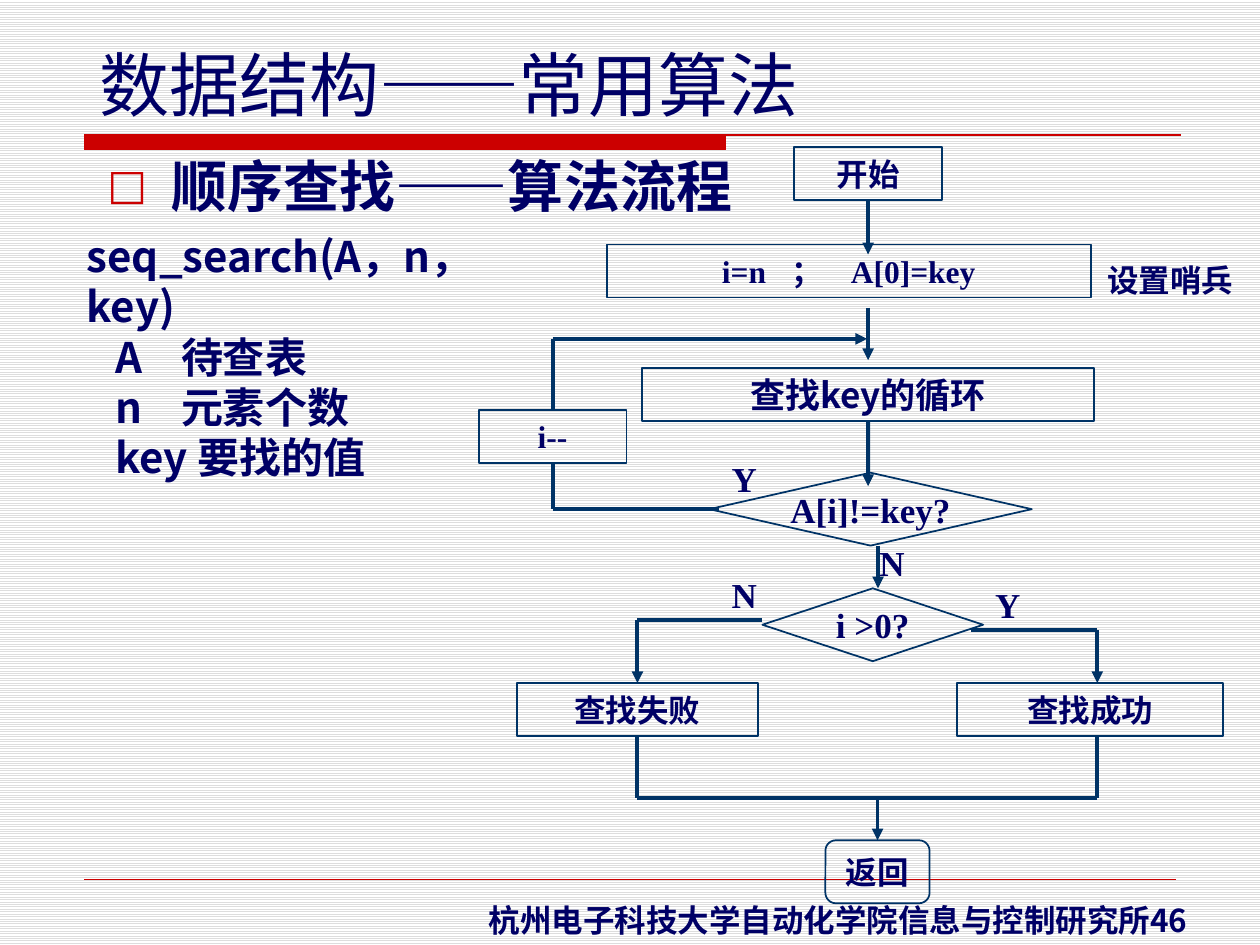
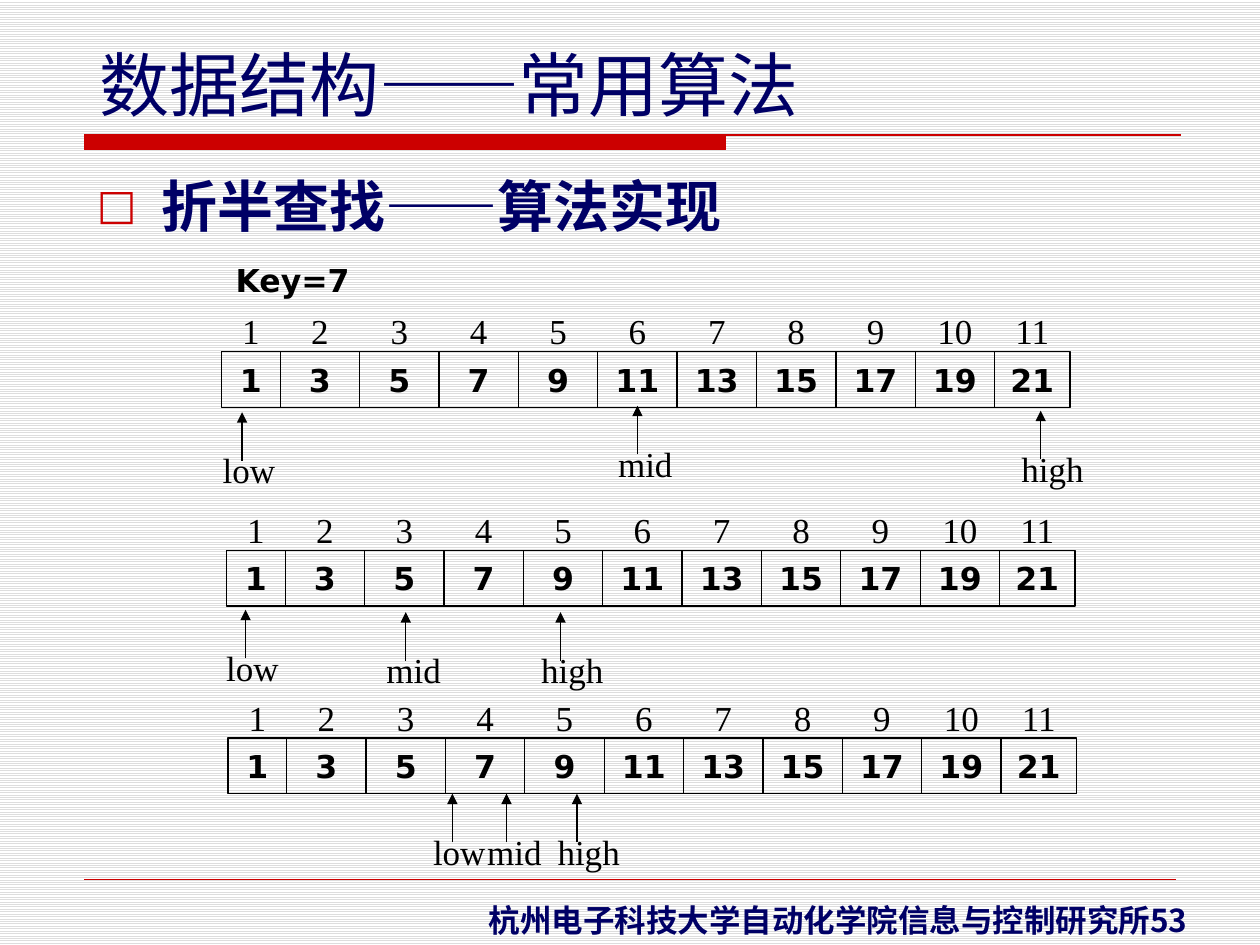
"""Build two lecture slides on sequential search and binary search."""
import dataclasses
from typing import NamedTuple, Optional

import lxml.etree
import pptx
import pptx.dml.color
import pptx.enum.dml
import pptx.enum.shapes
import pptx.enum.text
import pptx.oxml.ns
import pptx.util

Cm = pptx.util.Cm
Pt = pptx.util.Pt
qn = pptx.oxml.ns.qn
SHAPE = pptx.enum.shapes.MSO_SHAPE
ALIGN = pptx.enum.text.PP_ALIGN
ANCHOR = pptx.enum.text.MSO_ANCHOR
FIT = pptx.enum.text.MSO_AUTO_SIZE

COLORS = {"navy": "000066", "teal": "003366", "red": "CC0000",
          "black": "000000", "stripe": "DDDDDD", "paper": "FFFFFF"}
SERIF, SANS, CJK, ARIAL = "Times New Roman", "DejaVu Sans", "Noto Sans CJK SC", "Arial"
TOP, LEFT, BOTTOM, RIGHT = range(4)


class Style(NamedTuple):
    size: int
    font: str = SERIF
    color: str = "navy"
    bold: bool = True


class Area(NamedTuple):
    left: float
    top: float
    width: float
    height: float

    def lengths(self) -> list:
        return [Cm(v) for v in self]


class Box(NamedTuple):
    name: str
    text: str
    area: Area
    style: Style
    shape: int = SHAPE.RECTANGLE
    tabs: tuple = ()


class Marker(NamedTuple):
    text: str
    x: float
    tip: float


class ArrayRow(NamedTuple):
    left: float
    top: float
    markers: tuple


@dataclasses.dataclass
class Link:
    start: tuple
    end: tuple
    arrow: bool = False
    begin_at: Optional[tuple] = None
    end_at: Optional[tuple] = None


TITLE = Style(40, SANS, bold=False)
HEADING = Style(32, CJK)
LABEL = Style(18)
BRANCH = Style(20)
CODE = Style(24, CJK)
INDEX = Style(20, color="black", bold=False)
VALUE = Style(18, SANS, "black")

BOXES = (
    Box("start", "开始", Area(16.01, 2.97, 2.98, 1.07), LABEL),
    Box("init", "\ti=n\t；\tA[0]=key", Area(12.24, 4.93, 9.75, 1.07), LABEL,
        tabs=(2.76, 4.04, 6.17)),
    Box("loop", "查找key的循环", Area(12.94, 7.42, 9.12, 1.07), Style(20, CJK)),
    Box("step", "i--", Area(9.65, 8.26, 2.98, 1.07), LABEL),
    Box("differs", "A[i]!=key?", Area(14.3, 9.53, 6.5, 1.47), BRANCH,
        SHAPE.FLOWCHART_DECISION),
    Box("found", "i >0?", Area(15.37, 11.86, 4.45, 1.47), BRANCH,
        SHAPE.FLOWCHART_DECISION),
    Box("failure", "查找失败", Area(10.42, 13.77, 4.86, 1.07), LABEL),
    Box("success", "查找成功", Area(19.3, 13.77, 5.36, 1.07), LABEL),
    Box("return", "返回", Area(16.64, 16.94, 2.1, 1.27), LABEL,
        SHAPE.FLOWCHART_ALTERNATE_PROCESS),
)
LINKS = (
    Link((17.5, 4.04), (17.5, 5.13), True, begin_at=("start", BOTTOM)),
    Link((17.5, 6.2), (17.5, 7.26), True),
    Link((17.5, 8.49), (17.5, 9.8), True, begin_at=("loop", BOTTOM)),
    Link((14.5, 10.26), (11.14, 10.26)),
    Link((11.14, 9.33), (11.14, 10.26), begin_at=("step", BOTTOM)),
    Link((11.14, 6.83), (11.14, 8.26), end_at=("step", TOP)),
    Link((11.14, 6.83), (17.48, 6.83), True),
    Link((17.7, 11), (17.7, 11.86), True),
    Link((15.37, 12.5), (12.85, 12.5)),
    Link((12.85, 12.5), (12.85, 13.77), True, end_at=("failure", TOP)),
    Link((22.12, 12.7), (19.58, 12.7)),
    Link((22.12, 12.7), (22.12, 13.77), True),
    Link((12.85, 14.84), (12.85, 16.08), begin_at=("failure", BOTTOM)),
    Link((22.12, 14.84), (22.12, 16.08)),
    Link((22.12, 16.08), (12.85, 16.08)),
    Link((17.69, 16.08), (17.69, 16.94), True, end_at=("return", TOP)),
)
BRANCHES = (("Y", 14.5, 9.09), ("N", 17.48, 10.8), ("Y", 19.81, 11.63), ("N", 14.5, 11.43))

ROW_WIDTH, ROW_HEIGHT = 17.1, 1.12
DIVIDERS = [1.18 + 1.6 * i for i in range(10)]
EDGES = [0, *DIVIDERS, ROW_WIDTH]
CENTRES = tuple((a + b) / 2 for a, b in zip(EDGES, EDGES[1:]))
ROWS = (
    ArrayRow(4.47, 7.09, (Marker("low", 4.88, 8.31), Marker("mid", 12.85, 8.18),
                          Marker("high", 20.98, 8.28))),
    ArrayRow(4.57, 11.1, (Marker("low", 4.95, 12.29), Marker("mid", 8.18, 12.34),
                          Marker("high", 11.3, 12.34))),
    ArrayRow(4.6, 14.88, (Marker("low", 9.12, 16), Marker("mid", 10.21, 16),
                          Marker("high", 11.63, 16))),
)
MARKER_WIDTHS = {"low": 1.65, "mid": 1.65, "high": 1.9}


def rgb(name: str):
    return pptx.dml.color.RGBColor.from_string(COLORS[name])


def assign(target, values: dict) -> None:
    for name, value in values.items():
        setattr(target, name, value)


def child(parent, tag: str, **attributes):
    return lxml.etree.SubElement(parent, qn(tag), attributes)


def add_run(p, text: str, style: Style) -> None:
    r = p.add_run()
    r.text = text
    assign(r.font, {"size": Pt(style.size), "bold": style.bold, "name": style.font})
    r.font.color.rgb = rgb(style.color)
    child(r._r.get_or_add_rPr(), "a:ea", typeface=CJK)


def set_tabs(p, stops: tuple, align: str) -> None:
    tabs = child(p._p.get_or_add_pPr(), "a:tabLst")
    for stop in stops:
        child(tabs, "a:tab", pos=str(int(Cm(stop))), algn=align)


def add_text(s, area: Area, lines: list, style: Style, wrap: bool = False,
             tabs: tuple = (), tab_align: str = "l"):
    tf = s.shapes.add_textbox(*area.lengths()).text_frame
    assign(tf, {"word_wrap": wrap, "auto_size": FIT.SHAPE_TO_FIT_TEXT})
    for i, line in enumerate(lines):
        p = tf.add_paragraph() if i else tf.paragraphs[0]
        add_run(p, line, style)
        if tabs:
            set_tabs(p, tabs, tab_align)
    return tf


def add_box(s, box: Box, color: str, width: float):
    sp = s.shapes.add_shape(box.shape, *box.area.lengths())
    sp.shadow.inherit = False
    sp.fill.background()
    sp.line.color.rgb = rgb(color)
    sp.line.width = Pt(width)
    tf = sp.text_frame
    assign(tf, {"word_wrap": bool(box.tabs), "vertical_anchor": ANCHOR.MIDDLE})
    p = tf.paragraphs[0]
    p.alignment = ALIGN.LEFT if box.tabs else ALIGN.CENTER
    add_run(p, box.text, box.style)
    if box.tabs:
        assign(tf, {"margin_left": 0, "margin_right": 0})
        set_tabs(p, box.tabs, "ctr")
    return sp


def add_link(s, link: Link, color: str, width: float, boxes: Optional[dict] = None) -> None:
    cn = s.shapes.add_connector(pptx.enum.shapes.MSO_CONNECTOR.STRAIGHT,
                                *[Cm(v) for v in link.start + link.end])
    cn.line.color.rgb = rgb(color)
    cn.line.width = Pt(width)
    if link.begin_at:
        cn.begin_connect(boxes[link.begin_at[0]], link.begin_at[1])
    if link.end_at:
        cn.end_connect(boxes[link.end_at[0]], link.end_at[1])
    props = cn.element.spPr
    if link.arrow:
        child(props.find(qn("a:ln")), "a:tailEnd", type="triangle")
    child(props, "a:effectLst")


def fill_placeholder(sp, area: Area, runs: list, align: int, wrap: bool, anchor: int):
    assign(sp, dict(zip(Area._fields, area.lengths())))
    assign(sp.text_frame, {"word_wrap": wrap, "auto_size": FIT.NONE,
                           "vertical_anchor": anchor})
    p = sp.text_frame.paragraphs[0]
    p.alignment = align
    for text, style in runs:
        add_run(p, text, style)
    return p


def add_heading(s, area: Area, runs: list, align: int) -> None:
    p = fill_placeholder(s.placeholders[1], area, runs, align, True, ANCHOR.TOP)
    p.space_before = Pt(6.4)
    props = p._p.get_or_add_pPr()
    props.set("marL", str(int(Cm(1.3))))
    props.set("indent", str(int(Cm(-1.3))))
    child(child(props, "a:buClr"), "a:srgbClr", val=COLORS["red"])
    child(props, "a:buSzPct", val="75000")
    child(props, "a:buFont", typeface=SANS)
    child(props, "a:buChar", char="□")


def add_base_slide(prs, number: str):
    s = prs.slides.add_slide(prs.slide_layouts[1])
    fill = s.background.fill
    fill.patterned()
    fill.pattern = pptx.enum.dml.MSO_PATTERN.LIGHT_HORIZONTAL
    fill.fore_color.rgb = rgb("stripe")
    fill.back_color.rgb = rgb("paper")

    left, top, right = Cm(1.7), Cm(2.72), Cm(23.8)
    band_right, bottom = Cm(14.63), Cm(3.02)
    outline = s.shapes.build_freeform(left, top)
    outline.add_line_segments([(band_right, top), (band_right, bottom), (left, bottom)])
    outline.move_to(left, top)
    outline.add_line_segments([(right, top)], close=False)
    band = outline.convert_to_shape()
    band.shadow.inherit = False
    band.fill.solid()
    band.fill.fore_color.rgb = rgb("red")
    band.line.color.rgb = rgb("red")
    band.line.width = Pt(0.75)

    add_link(s, Link((1.7, 17.73), (23.7, 17.73)), "red", 0.25)
    fill_placeholder(s.shapes.title, Area(1.75, 0.71, 14.61, 1.96),
                     [("数据结构", TITLE), ("——", TITLE._replace(font=ARIAL)),
                      ("常用算法", TITLE)], ALIGN.LEFT, False, ANCHOR.MIDDLE)
    tf = add_text(s, Area(9.6, 18.03, 15.52, 1.02),
                  ["杭州电子科技大学自动化学院信息与控制研究所"], LABEL)
    add_run(tf.paragraphs[0], number, LABEL._replace(font=CJK))
    return s


def add_sequential_search(prs) -> None:
    s = add_base_slide(prs, "46")
    add_heading(s, Area(1.91, 2.92, 22.2, 14.17),
                [("顺序查找——算法流程", HEADING)], ALIGN.JUSTIFY)
    add_text(s, Area(1.5, 4.52, 9.73, 4.32),
             ["seq_search(A，n，key)", "\tA\t待查表", "\tn\t元素个数", "\tkey 要找的值"],
             CODE, True, (0.58, 1.9))
    boxes = {box.name: add_box(s, box, "teal", 1) for box in BOXES}
    for link in LINKS:
        add_link(s, link, "teal", 2.25, boxes)
    for text, left, top in BRANCHES:
        add_text(s, Area(left, top, 1.02, 1.09), [text], BRANCH)
    add_text(s, Area(22.07, 5.13, 3.23, 1.02), ["设置哨兵"], LABEL, True)


def add_array_row(s, row: ArrayRow) -> None:
    indexes = "".join(f"\t{i}" for i in range(1, 12))
    values = "".join(f"\t{v}" for v in range(1, 22, 2))
    tf = add_text(s, Area(row.left, row.top - 0.97, ROW_WIDTH, 1.09), [indexes],
                  INDEX, True, CENTRES, "ctr")
    assign(tf, {"margin_left": 0, "margin_right": 0})
    area = Area(row.left, row.top, ROW_WIDTH, ROW_HEIGHT)
    add_box(s, Box("values", values, area, VALUE, tabs=CENTRES), "black", 0.75)
    for offset in DIVIDERS:
        x = row.left + offset
        add_link(s, Link((x, row.top), (x, row.top + ROW_HEIGHT)), "black", 0.75)
    for text, x, tip in row.markers:
        add_link(s, Link((x, tip + 0.98), (x, tip), True), "black", 0.75)
        tf = add_text(s, Area(x - 0.64, tip + 0.61, MARKER_WIDTHS[text], 1.09),
                      [text], INDEX)
        tf.margin_right = 0


def add_binary_search(prs) -> None:
    s = add_base_slide(prs, "53")
    heading = HEADING._replace(font=SANS)
    add_heading(s, Area(1.7, 3.33, 22, 15.72),
                [("折半查找", heading), ("——", heading._replace(font=ARIAL)),
                 ("算法实现", heading)], ALIGN.LEFT)
    add_text(s, Area(4.5, 5.13, 2.84, 1.02), ["Key=7"], VALUE)
    for row in ROWS:
        add_array_row(s, row)


def main() -> None:
    prs = pptx.Presentation()
    assign(prs, {"slide_width": Cm(25.4), "slide_height": Cm(19.05)})
    add_sequential_search(prs)
    add_binary_search(prs)
    prs.save("out.pptx")


if __name__ == "__main__":
    main()
